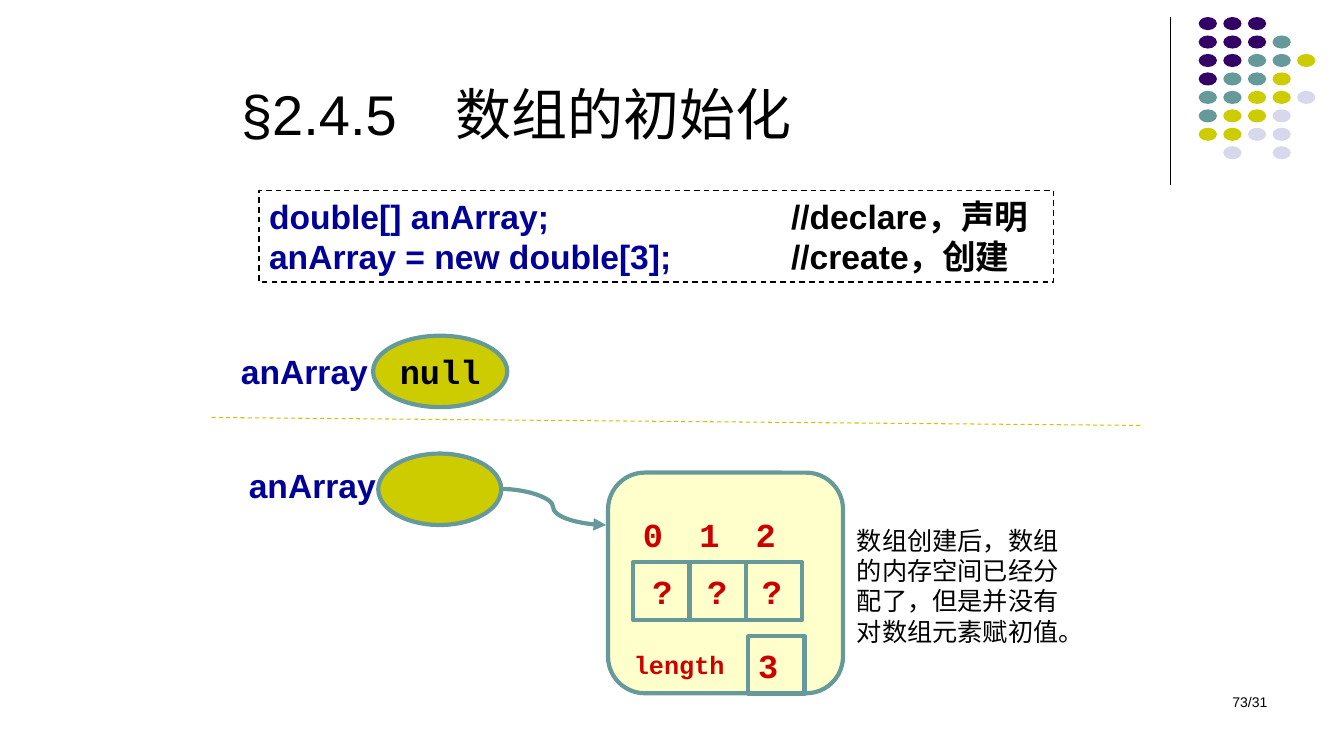
from dataclasses import dataclass
from typing import Optional

from lxml.etree import SubElement
from pptx import Presentation
from pptx.dml.color import RGBColor
from pptx.enum.dml import MSO_LINE
from pptx.enum.shapes import MSO_CONNECTOR, MSO_SHAPE
from pptx.enum.text import MSO_ANCHOR, MSO_AUTO_SIZE, PP_ALIGN
from pptx.oxml.ns import qn
from pptx.util import Cm, Pt


@dataclass(frozen=True)
class Theme:
    black: str = "000000"
    navy: str = "000099"
    red: str = "CC0000"
    purple: str = "330066"
    teal: str = "669999"
    olive: str = "CCCC00"
    pale: str = "D8D8EC"
    cream: str = "FFFFCC"
    rule: str = "C8C800"
    sans: str = "Arial"
    mono: str = "Courier New"
    han: str = "Noto Sans CJK SC"
    head: int = 40
    main: int = 24
    small: int = 18
    tiny: int = 10
    thick: float = 3


THEME = Theme()


@dataclass(frozen=True)
class Box:
    left: float
    top: float
    width: float
    height: float

    def cm(self) -> tuple:
        return Cm(self.left), Cm(self.top), Cm(self.width), Cm(self.height)


@dataclass(frozen=True)
class Style:
    color: str
    face: str = THEME.sans
    size: int = THEME.main
    bold: bool = True
    align: PP_ALIGN = PP_ALIGN.LEFT
    anchor: MSO_ANCHOR = MSO_ANCHOR.TOP
    wrap: bool = False


@dataclass(frozen=True)
class Label:
    text: str
    box: Box
    style: Style


@dataclass(frozen=True)
class Form:
    kind: MSO_SHAPE
    box: Box
    fill: Optional[str] = None
    line: Optional[str] = THEME.teal
    width: float = THEME.thick


@dataclass(frozen=True)
class Link:
    kind: MSO_CONNECTOR
    start: tuple
    end: tuple
    color: str
    width: float = 0.75
    dash: bool = False
    arrow: bool = False


NAME = Style(THEME.navy)
DIGIT = Style(THEME.red, THEME.mono, anchor=MSO_ANCHOR.MIDDLE)
MARK = Style(THEME.red, THEME.mono, align=PP_ALIGN.CENTER)
NULL = Style(THEME.black, THEME.mono, align=PP_ALIGN.CENTER, anchor=MSO_ANCHOR.MIDDLE)
FIELD = Style(THEME.red, THEME.mono, THEME.small)
NOTE = Style(THEME.black, THEME.han, THEME.small, bold=False, wrap=True)
PAGE = Style(THEME.black, size=THEME.tiny, bold=False, align=PP_ALIGN.RIGHT, wrap=True)
HEAD = Style(THEME.black, size=THEME.head, bold=False, anchor=MSO_ANCHOR.MIDDLE, wrap=True)
CODE = Style(THEME.navy, wrap=True)

DOTS = ("PPP", "PPPT", "PPTTY", "PTTY", "TTYYL", "TYYL", "YYLL", " L L")
INKS = {"P": THEME.purple, "T": THEME.teal, "Y": THEME.olive, "L": THEME.pale}
LINES = (
    ("double[] anArray;", "//declare，声明"),
    ("anArray = new double[3];", "//create，创建"),
)
CELL = 1.42
CELLS = [15.95 + CELL * i for i in range(3)]


def paint(shapes, form: Form):
    shape = shapes.add_shape(form.kind, *form.box.cm())
    shape.shadow.inherit = False
    if form.fill:
        shape.fill.solid()
        shape.fill.fore_color.rgb = RGBColor.from_string(form.fill)
    else:
        shape.fill.background()
    if form.line:
        shape.line.color.rgb = RGBColor.from_string(form.line)
        shape.line.width = Pt(form.width)
    else:
        shape.line.fill.background()
    return shape


def join(shapes, link: Link) -> None:
    ends = [Cm(n) for n in (*link.start, *link.end)]
    line = shapes.add_connector(link.kind, *ends)
    line.line.color.rgb = RGBColor.from_string(link.color)
    line.line.width = Pt(link.width)
    if link.dash:
        line.line.dash_style = MSO_LINE.DASH
    props = line._element.spPr
    if link.arrow:
        SubElement(props.find(qn("a:ln")), qn("a:tailEnd"), type="triangle")
    SubElement(props, qn("a:effectLst"))


def format(part, style: Style, tab: float = 0) -> None:
    """Style one paragraph, with an optional tab stop in centimetres."""
    part.alignment = style.align
    if tab:
        stops = SubElement(part._p.get_or_add_pPr(), qn("a:tabLst"))
        SubElement(stops, qn("a:tab"), pos=str(Cm(tab)), algn="l")
    font = part.font
    font.size, font.bold, font.name = Pt(style.size), style.bold, style.face
    font.color.rgb = RGBColor.from_string(style.color)
    SubElement(part._p.pPr.find(qn("a:defRPr")), qn("a:ea"), typeface=THEME.han)


def write(shape, text: str, style: Style, tab: float = 0) -> None:
    frame = shape.text_frame
    frame.word_wrap = style.wrap
    frame.auto_size = MSO_AUTO_SIZE.NONE
    frame.vertical_anchor = style.anchor
    frame.text = text
    for part in frame.paragraphs:
        format(part, style, tab)


def label(shapes, item: Label) -> None:
    write(shapes.add_textbox(*item.box.cm()), item.text, item.style)


def draw_dots(shapes) -> None:
    group = shapes.add_group_shape().shapes
    for row, line in enumerate(DOTS):
        for col, key in enumerate(line):
            if key in INKS:
                box = Box(30.2 + 0.62 * col, 0.43 + 0.465 * row, 0.46, 0.33)
                paint(group, Form(MSO_SHAPE.OVAL, box, INKS[key], None))


def draw_code(shapes) -> None:
    box = Box(6.53, 4.8, 20.02, 2.31)
    frame = paint(shapes, Form(MSO_SHAPE.RECTANGLE, box, None, THEME.black, 1))
    frame.line.dash_style = MSO_LINE.DASH
    write(frame, "\n".join(f"{code}\t" for code, _ in LINES), CODE, 13.15)
    for part, (_, remark) in zip(frame.text_frame.paragraphs, LINES):
        run = part.add_run()
        run.text = remark
        run.font.color.rgb = RGBColor.from_string(THEME.black)


def draw_array(shapes) -> None:
    box = Box(15.32, 11.91, 5.92, 5.56)
    paint(shapes, Form(MSO_SHAPE.ROUNDED_RECTANGLE, box, THEME.cream))
    for i, left in enumerate(CELLS):
        paint(shapes, Form(MSO_SHAPE.RECTANGLE, Box(left, 14.17, CELL, 1.45)))
        label(shapes, Label(str(i), Box(left, 12.73, CELL, 1.45), DIGIT))
        label(shapes, Label("?", Box(16.18 + 1.38 * i, 14.25, 1.02, 1.27), MARK))
    label(shapes, Label("length", Box(15.72, 16.23, 2.79, 1.02), FIELD))
    count = paint(shapes, Form(MSO_SHAPE.RECTANGLE, Box(18.85, 16.03, CELL, 1.45)))
    write(count, "3", DIGIT)


def main() -> None:
    deck = Presentation()
    deck.slide_width, deck.slide_height = Cm(33.86), Cm(19.05)
    slide = deck.slides.add_slide(deck.slide_layouts[5])
    shapes = slide.shapes
    title = shapes.title
    title.left, title.top, title.width, title.height = Box(5.82, 1.57, 19.63, 2.57).cm()
    write(title, "§2.4.5\t数组的初始化", HEAD, 5.4)
    draw_dots(shapes)
    draw_code(shapes)
    null = paint(shapes, Form(MSO_SHAPE.OVAL, Box(9.4, 8.46, 3.38, 1.8), THEME.olive))
    write(null, "null", NULL)
    paint(shapes, Form(MSO_SHAPE.OVAL, Box(9.53, 11.43, 3.1, 1.8), THEME.olive))
    draw_array(shapes)
    for item in (
        Label("anArray", Box(5.82, 8.71, 3.99, 1.27), NAME),
        Label("anArray", Box(6.02, 11.58, 3.86, 1.27), NAME),
        Label("数组创建后，数组的内存空间已经分配了，但是并没有对数组元素赋初值。",
              Box(21.34, 13.11, 6.05, 3.33), NOTE),
        Label("73/31", Box(24.28, 17.35, 7.9, 1.27), PAGE),
    ):
        label(shapes, item)
    for link in (
        Link(MSO_CONNECTOR.STRAIGHT, (29.49, 0.43), (29.49, 4.65), THEME.black),
        Link(MSO_CONNECTOR.STRAIGHT, (5.33, 10.52), (28.73, 10.72), THEME.rule, dash=True),
        Link(MSO_CONNECTOR.CURVE, (12.6, 12.32), (15.27, 13.23), THEME.teal,
             THEME.thick, arrow=True),
    ):
        join(shapes, link)
    deck.save("out.pptx")


if __name__ == "__main__":
    main()
